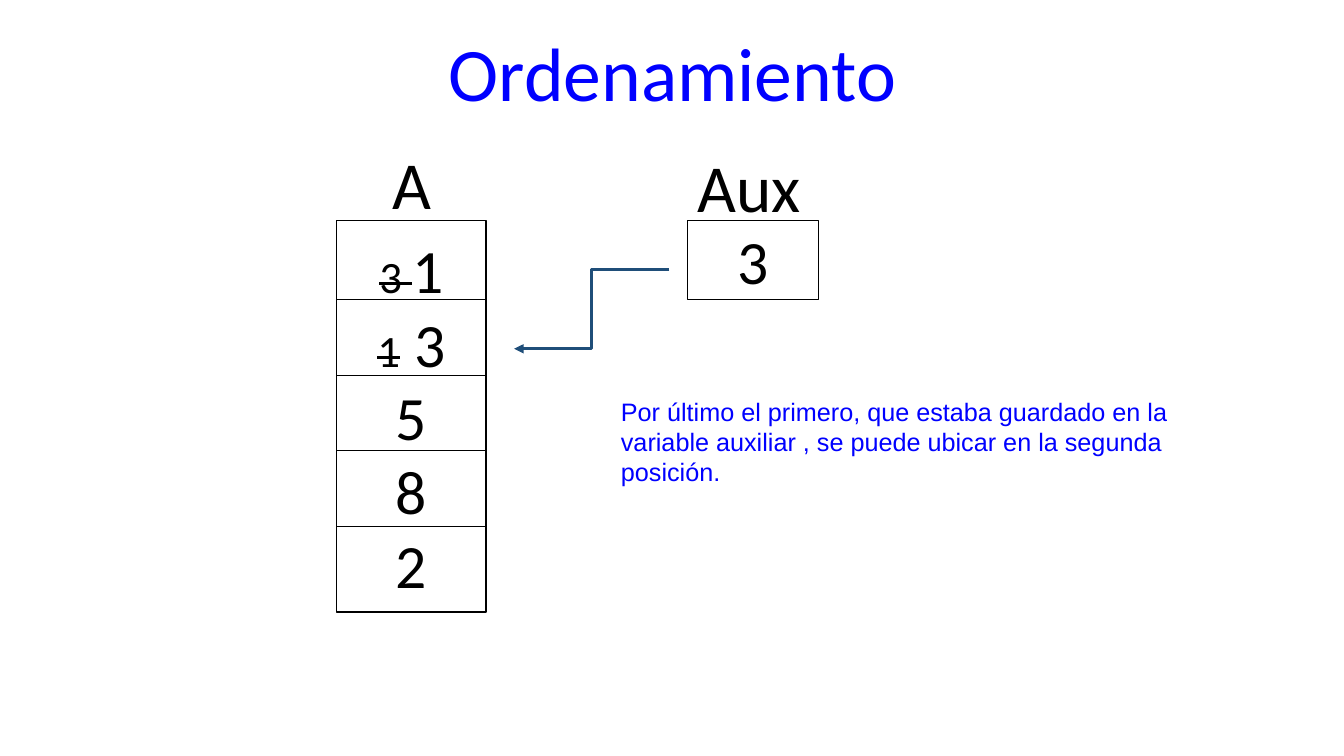
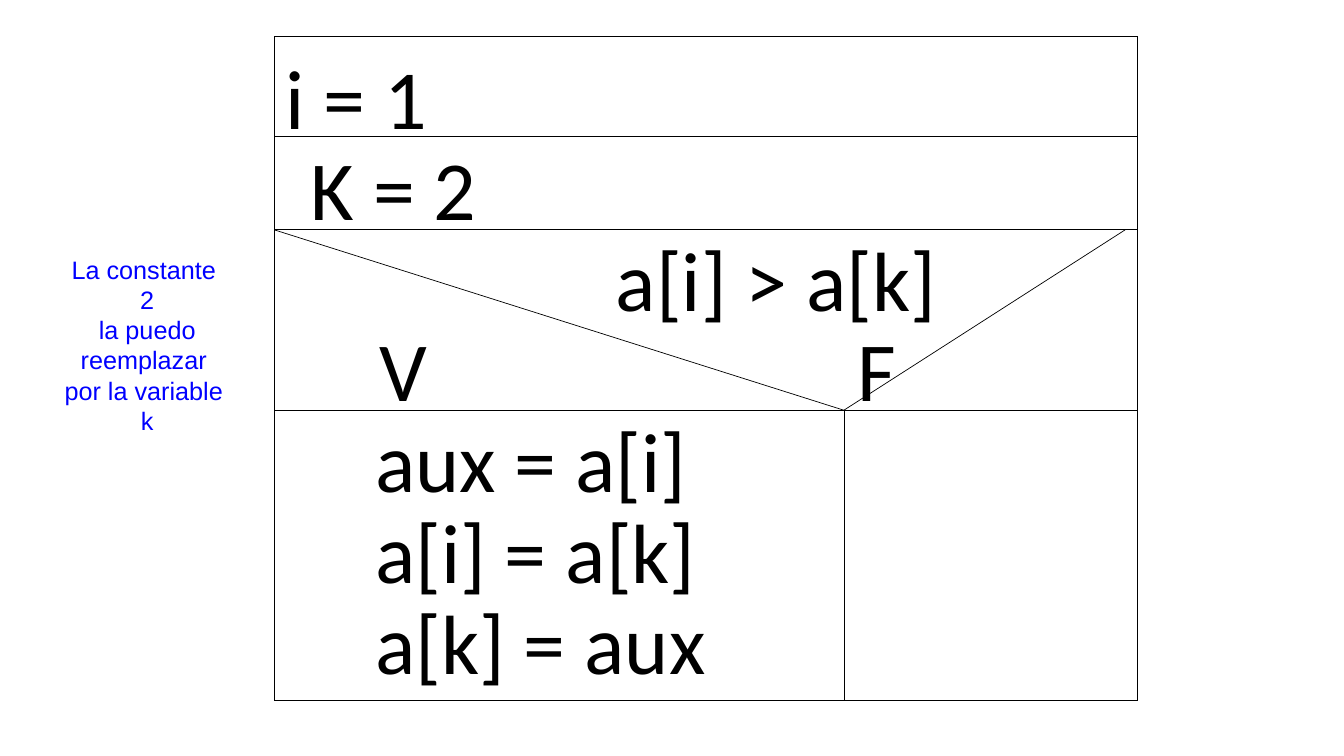
from dataclasses import dataclass

from lxml.etree import SubElement
from pptx import Presentation
from pptx.dml.color import RGBColor
from pptx.enum.shapes import MSO_CONNECTOR, MSO_SHAPE
from pptx.enum.text import MSO_ANCHOR, PP_ALIGN
from pptx.oxml.ns import qn
from pptx.util import Inches, Pt


@dataclass(frozen=True)
class Theme:
    ink: RGBColor = RGBColor(0, 0, 0)
    paper: RGBColor = RGBColor(255, 255, 255)
    accent: RGBColor = RGBColor(0, 0, 255)
    arrow: RGBColor = RGBColor(0x1F, 0x4E, 0x79)
    main_font: str = "Calibri"
    note_font: str = "Arial"
    title: float = 54
    label: float = 48
    value: float = 44
    old_value: float = 32
    code: float = 60
    code_pitch: float = 65
    note: float = 18
    hairline: float = 0.5
    outline: float = 1
    arrow_width: float = 2.25


THEME = Theme()


@dataclass(frozen=True)
class Box:
    left: float
    top: float
    width: float
    height: float

    @property
    def right(self):
        return self.left + self.width

    @property
    def bottom(self):
        return self.top + self.height

    def lengths(self):
        return [Inches(n) for n in (self.left, self.top, self.width, self.height)]


@dataclass(frozen=True)
class Struck:
    text: str


def write(frame, paragraphs, size, font=THEME.main_font, color=THEME.ink,
          align=PP_ALIGN.LEFT, anchor=MSO_ANCHOR.TOP, spacing=None, wrap=True,
          inset=True):
    frame.word_wrap = wrap
    frame.vertical_anchor = anchor
    if not inset:
        frame.margin_left = frame.margin_right = 0
        frame.margin_top = frame.margin_bottom = 0
    for index, pieces in enumerate(paragraphs):
        paragraph = frame.paragraphs[0] if index == 0 else frame.add_paragraph()
        paragraph.alignment = align
        if spacing is not None:
            paragraph.line_spacing = spacing
        for piece in [pieces] if isinstance(pieces, str) else pieces:
            struck = isinstance(piece, Struck)
            run = paragraph.add_run()
            run.text = piece.text if struck else piece
            run.font.name = font
            run.font.size = Pt(THEME.old_value if struck else size)
            run.font.color.rgb = color
            if struck:
                run._r.get_or_add_rPr().set("strike", "sngStrike")


def add_text(slide, box, paragraphs, size, **formats):
    write(slide.shapes.add_textbox(*box.lengths()).text_frame, paragraphs, size, **formats)


def add_note(slide, box, paragraphs, align=PP_ALIGN.LEFT):
    add_text(slide, box, paragraphs, THEME.note, font=THEME.note_font,
             color=THEME.accent, align=align)


def add_line(slide, start, end, kind=MSO_CONNECTOR.STRAIGHT, color=THEME.ink,
             width=THEME.hairline, arrow=False):
    line = slide.shapes.add_connector(kind, *[Inches(n) for n in (*start, *end)])
    line.line.color.rgb = color
    line.line.width = Pt(width)
    if arrow:
        SubElement(line.line._get_or_add_ln(), qn("a:tailEnd"), type="triangle")
    SubElement(line._element.spPr, qn("a:effectLst"))


def add_cell(slide, box, paragraphs):
    cell = slide.shapes.add_shape(MSO_SHAPE.RECTANGLE, *box.lengths())
    cell.shadow.inherit = False
    cell.fill.solid()
    cell.fill.fore_color.rgb = THEME.paper
    cell.line.color.rgb = THEME.ink
    cell.line.width = Pt(THEME.outline)
    write(cell.text_frame, paragraphs, THEME.value, align=PP_ALIGN.CENTER,
          anchor=MSO_ANCHOR.MIDDLE)


def add_title(slide, box, title):
    add_text(slide, box, [title], THEME.title, color=THEME.accent,
             align=PP_ALIGN.CENTER, anchor=MSO_ANCHOR.BOTTOM, spacing=0.9)


def add_array(slide, box, values, first_row=0.78, row=0.75):
    add_cell(slide, box, values)
    for index in range(len(values) - 1):
        y = box.top + first_row + index * row
        add_line(slide, (box.left, y), (box.right, y))
    add_text(slide, Box(box.left + 0.45, box.top - 0.83, 0.59, 0.91), ["A"],
             THEME.label, wrap=False)


def add_auxiliary(slide, box, value):
    add_cell(slide, box, [value])
    add_text(slide, Box(box.left, box.top - 0.8, 1.24, 0.91), ["Aux"],
             THEME.label, wrap=False)


def add_flow_chart(slide, box):
    start_y, condition_y, branch_y = (box.top + n for n in (0.99, 1.92, 3.71))
    split_x = box.left + 5.65
    for y in (box.top, start_y, condition_y, branch_y, box.bottom):
        add_line(slide, (box.left, y), (box.right, y))
    for x, top in ((box.left, box.top), (box.right, box.top), (split_x, branch_y)):
        add_line(slide, (x, top), (x, box.bottom))
    for corner_x in (box.left, box.right - 0.12):
        add_line(slide, (corner_x, condition_y), (split_x, branch_y))

    statements = [
        (0, 0.11, 3, ["i = 1"]),
        (1, 0.36, 3, ["K = 2"]),
        (2, 3.39, 3.8, ["a[i] > a[k]"]),
        (3, 1.04, 1, ["V"]),
        (3, 5.79, 1, ["F"]),
        (4, 1, 4.5, ["aux = a[i]", "a[i] = a[k]", "a[k] = aux"]),
    ]
    for row, indent, width, lines in statements:
        place = Box(box.left + indent, box.top + 0.19 + row * 0.9, width, 0.9 * len(lines))
        add_text(slide, place, lines, THEME.code, spacing=Pt(THEME.code_pitch), inset=False)


def build_sorting_slide(slide):
    add_title(slide, Box(1.67, 0.24, 10, 0.98), "Ordenamiento")
    add_array(slide, Box(3.34, 2.19, 1.48, 3.88),
              [[Struck("3 "), "1"], [Struck("1"), " 3"], "5", "8", "2"])
    add_auxiliary(slide, Box(6.82, 2.19, 1.3, 0.78), "3")
    add_line(slide, (6.64, 2.67), (5.1, 3.46), kind=MSO_CONNECTOR.ELBOW,
             color=THEME.arrow, width=THEME.arrow_width, arrow=True)
    add_note(slide, Box(6.06, 3.88, 6.19, 1),
             ["Por último el primero, que estaba guardado en la variable auxiliar , "
              "se puede ubicar en la segunda posición."])


def build_algorithm_slide(slide):
    add_flow_chart(slide, Box(2.72, 0.36, 8.56, 6.59))
    add_note(slide, Box(0.5, 2.47, 1.92, 1.9),
             ["La constante ", "2", "la puedo reemplazar ", "por la variable ", "k"],
             align=PP_ALIGN.CENTER)


def main():
    deck = Presentation()
    deck.slide_width, deck.slide_height = Inches(13.33), Inches(7.5)
    for build in (build_sorting_slide, build_algorithm_slide):
        build(deck.slides.add_slide(deck.slide_layouts[6]))
    deck.save("out.pptx")


if __name__ == "__main__":
    main()
